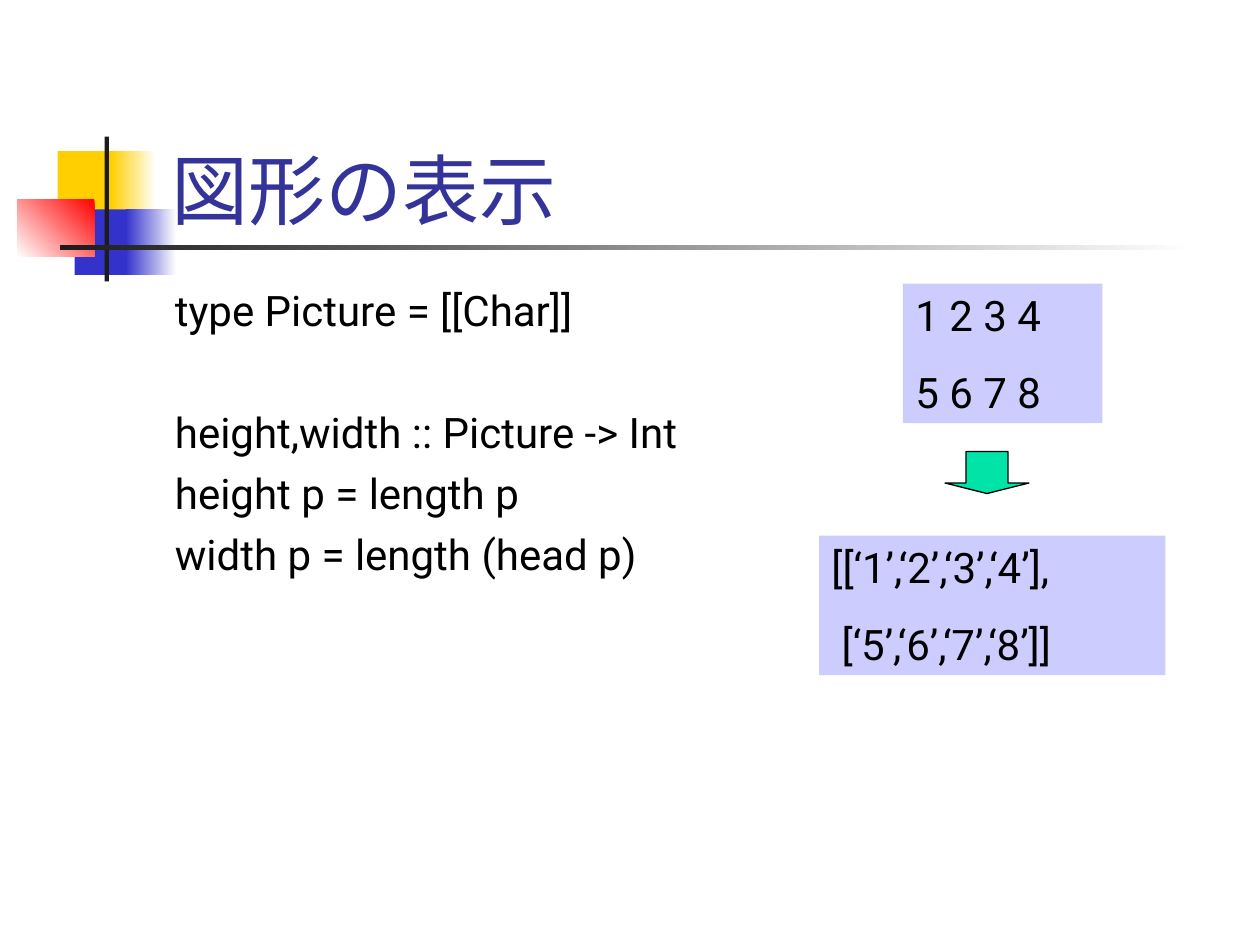
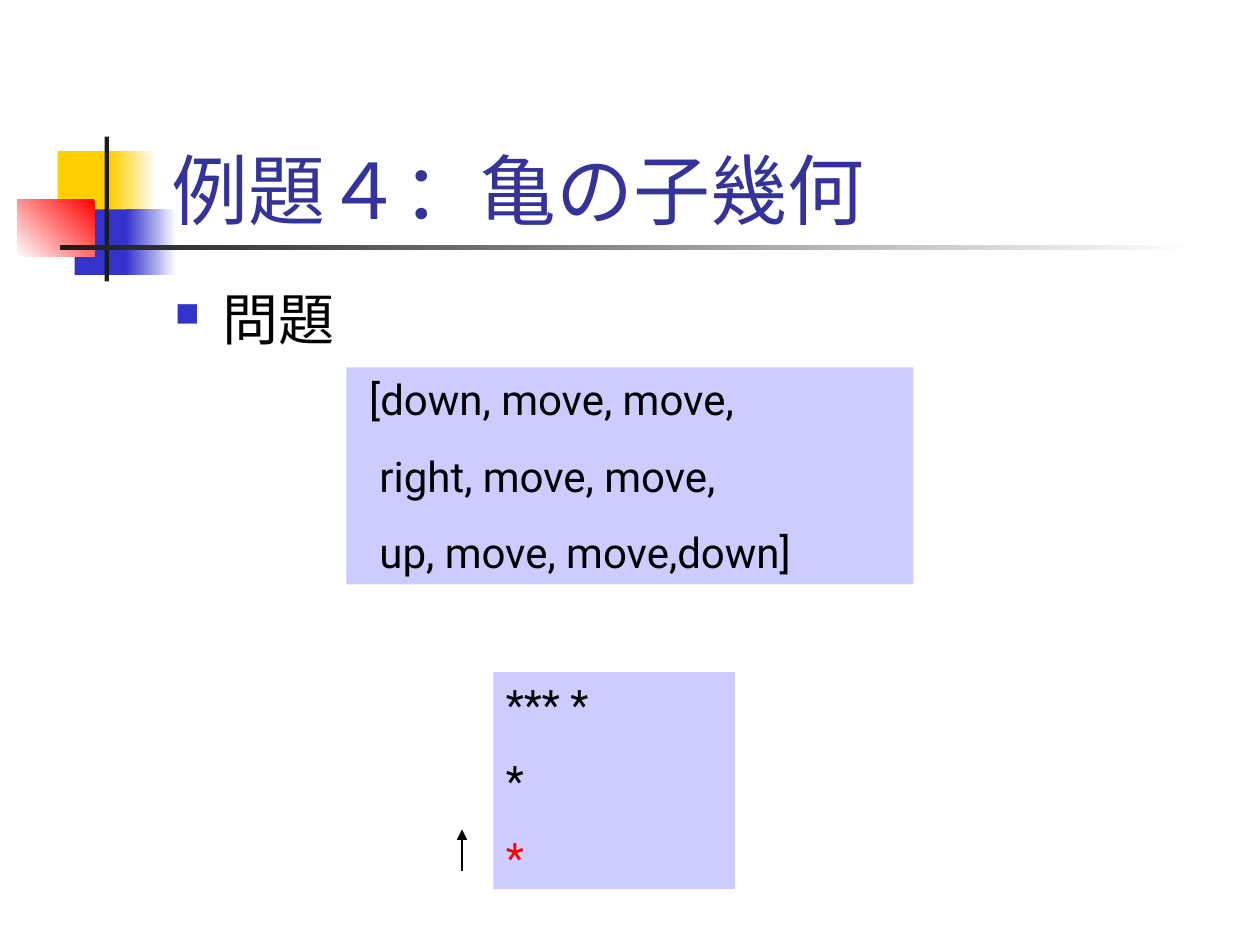
from dataclasses import dataclass

from lxml import etree
from pptx import Presentation
from pptx import util as u
from pptx.dml.color import RGBColor
from pptx.enum import shapes, text
from pptx.oxml import ns

COLUMNS, ROWS = 120, 90
SLIDE_WIDTH, SLIDE_HEIGHT = u.Inches(10), u.Inches(7.5)


@dataclass(frozen=True)
class Theme:
    font: str = "Roboto"
    title_size: int = 44
    bullet_size: int = 32
    code_size: int = 24
    title: str = "333399"
    ink: str = "000000"
    mark: str = "FF0000"
    panel: str = "CCCCFF"
    step: str = "00E4A8"
    yellow: str = "FFCF01"
    blue: str = "3333CC"
    red: str = "FF0000"
    rule: str = "1C1C1C"
    paper: str = "FFFFFF"


THEME = Theme()


@dataclass(frozen=True)
class Area:
    """A place on the slide, in grid columns and rows."""
    column: float
    row: float
    columns: float
    rows: float

    def emu(self) -> tuple[int, int, int, int]:
        return (across(self.column), down(self.row),
                across(self.columns), down(self.rows))


@dataclass(frozen=True)
class Band:
    area: Area
    start: str
    end: str | None = None
    angle: float = 180


@dataclass(frozen=True)
class Line:
    words: str
    size: int = THEME.code_size
    color: str = THEME.ink
    before: float = 0
    indent: float = 0
    bullet: bool = False


@dataclass(frozen=True)
class Panel:
    area: Area
    lines: tuple[Line, ...]


TITLE_AREA = Area(15.12, 8, 102.24, 15)
BODY_AREA = Area(15.48, 26.5, 102, 54)
HANGING = 4.5
SPACE = 0.98  # columns taken by one space at code size
BODY_GAP, PANEL_GAP, SECTION_GAP = 6, 15, 41

MOTIF = (
    Band(Area(5.5, 14.4, 5.76, 6.24), THEME.yellow),
    Band(Area(10.56, 14.4, 4.32, 6.24), THEME.paper, THEME.yellow),
    Band(Area(7.1, 19.95, 5.52, 6.24), THEME.blue),
    Band(Area(12, 19.95, 4.8, 6.24), THEME.paper, THEME.blue),
    Band(Area(1.65, 18.96, 7.35, 5.52), THEME.red, THEME.paper, 225),
    Band(Area(9.96, 13, 0.42, 13.8), THEME.rule),
    Band(Area(5.76, 23.35, 108, 0.42), THEME.paper, THEME.rule),
)


def across(columns: float) -> int:
    return round(SLIDE_WIDTH * columns / COLUMNS)


def down(rows: float) -> int:
    return round(SLIDE_HEIGHT * rows / ROWS)


def rgb(color: str) -> RGBColor:
    return RGBColor.from_string(color)


def add_preset(slide, preset, area: Area, color: str):
    shape = slide.shapes.add_shape(preset, *area.emu())
    shape.shadow.inherit = False
    shape.fill.solid()
    shape.fill.fore_color.rgb = rgb(color)
    shape.line.fill.background()
    return shape


def add_band(slide, band: Band) -> None:
    shape = add_preset(slide, shapes.MSO_SHAPE.RECTANGLE, band.area, band.start)
    if band.end:
        shape.fill.gradient()
        shape.fill.gradient_angle = band.angle
        for stop, color in zip(shape.fill.gradient_stops, (band.start, band.end)):
            stop.color.rgb = rgb(color)


def add_bullet(properties) -> None:
    color = etree.SubElement(properties, ns.qn("a:buClr"))
    etree.SubElement(color, ns.qn("a:srgbClr"), val=THEME.blue)
    etree.SubElement(properties, ns.qn("a:buSzPct"), val="60000")
    etree.SubElement(properties, ns.qn("a:buChar"), char="■")


def write_lines(frame, lines: tuple[Line, ...]) -> None:
    frame.word_wrap = True
    for index, line in enumerate(lines):
        paragraph = frame.paragraphs[0] if index == 0 else frame.add_paragraph()
        paragraph.text = line.words
        paragraph.alignment = text.PP_ALIGN.LEFT
        paragraph.space_before = u.Pt(line.before)
        properties = paragraph._p.get_or_add_pPr()
        properties.set("marL", str(across(line.indent)))
        if line.bullet:
            properties.set("indent", str(-across(line.indent)))
            add_bullet(properties)
        font = paragraph.font
        font.name, font.size = THEME.font, u.Pt(line.size)
        font.color.rgb = rgb(line.color)


def add_words(slide, area: Area, lines: tuple[Line, ...],
              anchor=text.MSO_ANCHOR.TOP) -> None:
    frame = slide.shapes.add_textbox(*area.emu()).text_frame
    frame.vertical_anchor = anchor
    write_lines(frame, lines)


def add_panel(slide, panel: Panel) -> None:
    shape = add_preset(slide, shapes.MSO_SHAPE.RECTANGLE, panel.area, THEME.panel)
    frame = shape.text_frame
    frame.vertical_anchor = text.MSO_ANCHOR.TOP
    frame.auto_size = text.MSO_AUTO_SIZE.SHAPE_TO_FIT_TEXT
    write_lines(frame, panel.lines)


def add_step_arrow(slide, area: Area) -> None:
    arrow = add_preset(slide, shapes.MSO_SHAPE.DOWN_ARROW, area, THEME.step)
    arrow.adjustments[0], arrow.adjustments[1] = 0.5, 0.25
    arrow.line.color.rgb = rgb(THEME.ink)
    arrow.line.width = u.Pt(0.75)


def add_heading_arrow(slide, column: float, start_row: float, end_row: float) -> None:
    """Show which way the turtle faces."""
    arrow = slide.shapes.add_connector(
        shapes.MSO_CONNECTOR.STRAIGHT,
        across(column), down(start_row), across(column), down(end_row))
    arrow.line.color.rgb = rgb(THEME.ink)
    arrow.line.width = u.Pt(0.75)
    etree.SubElement(arrow.line._get_or_add_ln(), ns.qn("a:tailEnd"), type="triangle")
    etree.SubElement(arrow._element.spPr, ns.qn("a:effectLst"))


def start_slide(deck, title: str, body: tuple[Line, ...], panels: tuple[Panel, ...]):
    slide = deck.slides.add_slide(deck.slide_layouts[6])
    for band in MOTIF:
        add_band(slide, band)
    add_words(slide, TITLE_AREA, (Line(title, THEME.title_size, THEME.title),),
              text.MSO_ANCHOR.BOTTOM)
    add_words(slide, BODY_AREA, body)
    for panel in panels:
        add_panel(slide, panel)
    return slide


def panel_line(words: str, spaces: int = 0, color: str = THEME.ink) -> Line:
    return Line(words, color=color, before=PANEL_GAP, indent=spaces * SPACE)


def add_picture_display(deck) -> None:
    body = (
        Line("type Picture = [[Char]]", before=BODY_GAP),
        Line("height,width :: Picture -> Int", before=SECTION_GAP),
        Line("height p = length p", before=BODY_GAP),
        Line("width p = length (head p)", before=BODY_GAP),
    )
    grid = Panel(Area(86, 27, 19, 13.3),
                 (panel_line("1 2 3 4"), panel_line("5 6 7 8")))
    nested_list = Panel(Area(78, 51, 33, 13.3),
                        (panel_line("[[‘1’,‘2’,‘3’,‘4’],"),
                         panel_line("[‘5’,‘6’,‘7’,‘8’]]", 1)))
    slide = start_slide(deck, "図形の表示", body, (grid, nested_list))
    add_step_arrow(slide, Area(90, 43, 8, 4))


def add_turtle_geometry(deck) -> None:
    body = (Line("問題", THEME.bullet_size, before=8, indent=HANGING, bullet=True),)
    commands = Panel(Area(33, 35, 54, 20.65),
                     (panel_line("[down, move, move,", 1),
                      panel_line("right, move, move,", 2),
                      panel_line("up, move, move,down]", 2)))
    trail = Panel(Area(47, 64, 23, 20.65),
                  (panel_line("*** *"), panel_line("*"),
                   panel_line("*", color=THEME.mark)))
    slide = start_slide(deck, "例題４：亀の子幾何", body, (commands, trail))
    add_heading_arrow(slide, 44, 83, 79)


def main() -> None:
    deck = Presentation()
    deck.slide_width, deck.slide_height = SLIDE_WIDTH, SLIDE_HEIGHT
    add_picture_display(deck)
    add_turtle_geometry(deck)
    deck.save("out.pptx")


if __name__ == "__main__":
    main()
